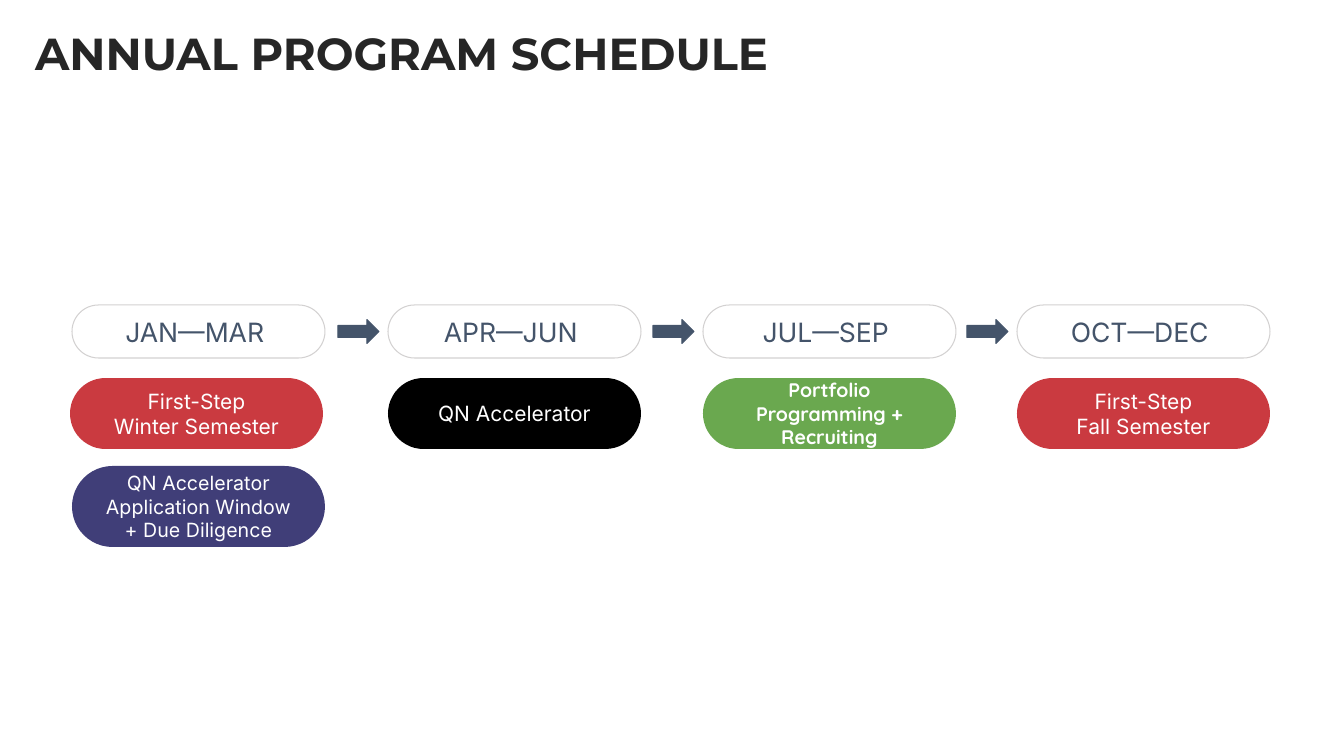
from pptx import Presentation
from pptx.dml.color import RGBColor
from pptx.enum.shapes import MSO_SHAPE
from pptx.enum.text import MSO_ANCHOR, MSO_AUTO_SIZE, PP_ALIGN
from pptx.util import Pt

COLORS = {
    "title": "262626", "slate": "44546A", "outline": "D3D1D1", "white": "FFFFFF",
    "red": "CA3A40", "black": "000000", "indigo": "403E78", "green": "6AA84F",
}
TITLE = "ANNUAL PROGRAM SCHEDULE"
QUARTERS = [
    (72, "JAN—MAR "),
    (388, "APR—JUN "),
    (703, "JUL—SEP "),
    (1017, "OCT—DEC "),
]
PROGRAMS = [
    (70, 378, 71, "red", "Inter", 15, False, ["First-Step", "Winter Semester"]),
    (72, 466, 81, "indigo", "Inter", 14, False,
     ["QN Accelerator", "Application Window + Due Diligence"]),
    (388, 378, 71, "black", "Inter", 15, False, ["QN Accelerator"]),
    (703, 378, 71, "green", "Quicksand", 14, True, ["Portfolio Programming + Recruiting"]),
    (1017, 378, 71, "red", "Inter", 15, False, ["First-Step", "Fall Semester"]),
]
PILL_W, QUARTER_Y, QUARTER_H = 253, 305, 53
ARROW_W, ARROW_H, ARROW_LEAD = 41, 24, 50
PILL_INSET = 13


def px(n):
    return round(n * 914400 / 100.8)


def color(name):
    return RGBColor.from_string(COLORS[name])


def set_insets(tf, x, y):
    tf.margin_left = tf.margin_right = px(x)
    tf.margin_top = tf.margin_bottom = px(y)


def write(tf, lines, font, size, fill, bold=False, align=PP_ALIGN.CENTER):
    tf.word_wrap = True
    for i, line in enumerate(lines):
        p = tf.paragraphs[0] if i == 0 else tf.add_paragraph()
        p.alignment = align
        r = p.add_run()
        r.text = line
        r.font.name = font
        r.font.size = Pt(size)
        r.font.bold = bold
        r.font.color.rgb = color(fill)


def add_shape(s, kind, x, y, w, h, fill=None, line=None):
    sp = s.shapes.add_shape(kind, px(x), px(y), px(w), px(h))
    sp.shadow.inherit = False
    if fill:
        sp.fill.solid()
        sp.fill.fore_color.rgb = color(fill)
    else:
        sp.fill.background()
    if line:
        sp.line.color.rgb = color(line)
        sp.line.width = Pt(0.75)
    else:
        sp.line.fill.background()
    return sp


def add_pill(s, x, y, h, lines, font, size, text_fill, bold=False, fill=None, line=None):
    sp = add_shape(s, MSO_SHAPE.ROUNDED_RECTANGLE, x, y, PILL_W, h, fill, line)
    sp.adjustments[0] = 0.5
    tf = sp.text_frame
    tf.vertical_anchor = MSO_ANCHOR.MIDDLE
    set_insets(tf, PILL_INSET, PILL_INSET)
    write(tf, lines, font, size, text_fill, bold)


def main():
    prs = Presentation()
    prs.slide_width, prs.slide_height = px(1344), px(756)
    s = prs.slides.add_slide(prs.slide_layouts[5])

    title = s.shapes.title
    title.left, title.top, title.width, title.height = px(25), px(22), px(1034), px(62)
    tf = title.text_frame
    tf.auto_size = MSO_AUTO_SIZE.NONE
    tf.vertical_anchor = MSO_ANCHOR.TOP
    set_insets(tf, 10, 4)
    write(tf, [TITLE], "Montserrat", 32, "title", True, PP_ALIGN.LEFT)

    for i, (x, months) in enumerate(QUARTERS):
        add_pill(s, x, QUARTER_Y, QUARTER_H, [months], "Inter", 19, "slate", line="outline")
        if i:
            arrow_y = QUARTER_Y + (QUARTER_H - ARROW_H) / 2
            add_shape(s, MSO_SHAPE.RIGHT_ARROW, x - ARROW_LEAD, arrow_y,
                      ARROW_W, ARROW_H, "slate", "slate")

    for x, y, h, fill, font, size, bold, lines in PROGRAMS:
        add_pill(s, x, y, h, lines, font, size, "white", bold, fill)

    prs.save("out.pptx")


if __name__ == "__main__":
    main()
